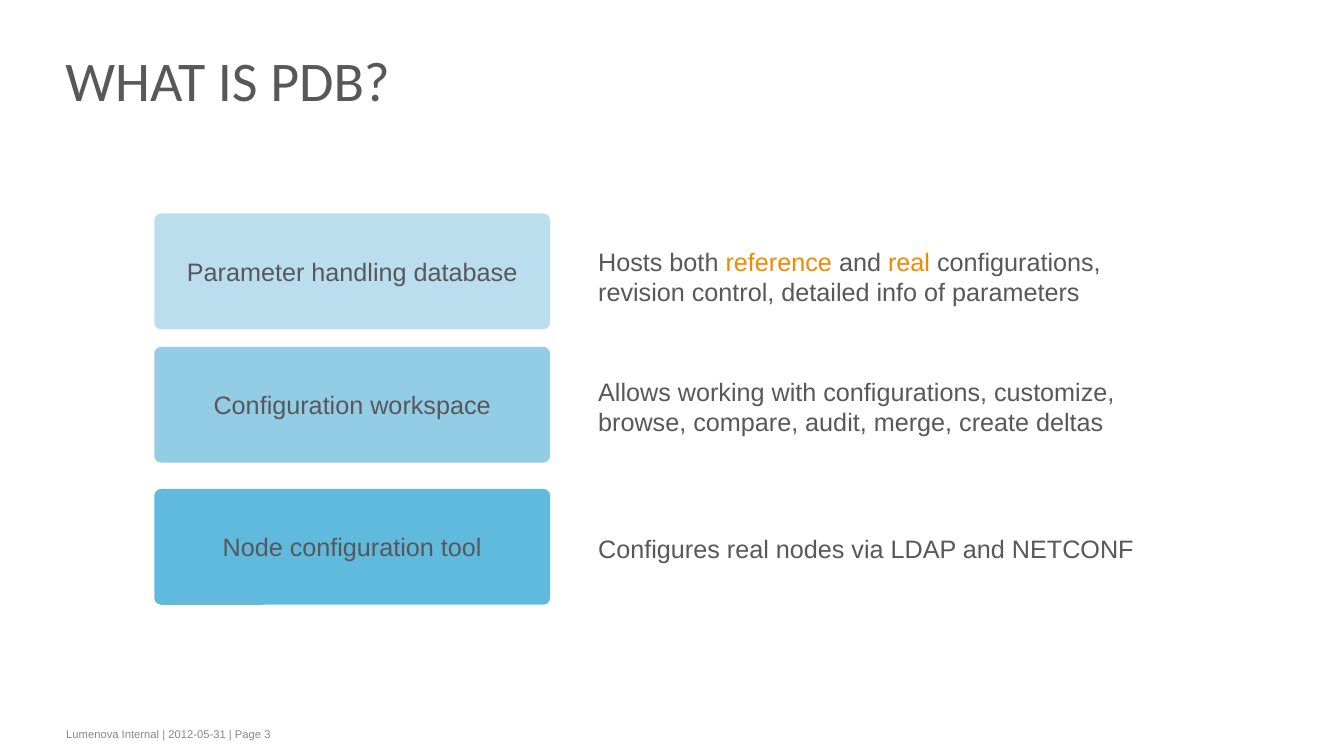
from dataclasses import dataclass

from pptx import Presentation
from pptx.dml.color import RGBColor
from pptx.enum.shapes import MSO_SHAPE
from pptx.enum.text import MSO_ANCHOR, MSO_AUTO_SIZE, PP_ALIGN
from pptx.util import Cm, Pt

TITLE = "WHAT IS PDB?"
FOOTER = "Lumenova Internal | 2012-05-31 | Page 3"
LAYERS = [
    {
        "name": "Parameter handling database",
        "fill": "BADEEE",
        "top": 5.38,
        "note": [
            ("Hosts both ", "text"),
            ("reference", "accent"),
            (" and ", "text"),
            ("real", "accent"),
            (" configurations, revision control, detailed info of parameters", "text"),
        ],
        "note_box": (6.07, 15.49, 1.78),
        "wrap": True,
    },
    {
        "name": "Configuration workspace",
        "fill": "92CCE5",
        "top": 8.74,
        "note": [
            ("Allows working with configurations, customize, browse, compare, "
             "audit, merge, create deltas", "text"),
        ],
        "note_box": (9.35, 15.49, 1.78),
        "wrap": True,
    },
    {
        "name": "Node configuration tool",
        "fill": "5FBADD",
        "top": 12.32,
        "note": [("Configures real nodes via LDAP and NETCONF", "text")],
        "note_box": (13.31, 14.02, 1.02),
        "wrap": False,
    },
]


@dataclass(frozen=True)
class Theme:
    text: str = "58585A"
    accent: str = "F08A00"
    muted: str = "87888A"
    title_font: str = "Calibri"
    body_font: str = "Arial"
    title_size: int = 40
    body_size: int = 18
    footer_size: int = 8


THEME = Theme()
LAYER_LEFT, LAYER_WIDTH, LAYER_HEIGHT = 3.89, 9.98, 2.92
NOTE_LEFT = 14.83


def add_span(para, text, color=THEME.text, size=THEME.body_size, font=THEME.body_font):
    span = para.add_run()
    span.text = text
    span.font.name = font
    span.font.size = Pt(size)
    span.font.color.rgb = RGBColor.from_string(color)


def set_margins(frame, side, edge):
    frame.margin_left = frame.margin_right = Cm(side)
    frame.margin_top = frame.margin_bottom = Cm(edge)


def add_title(page):
    title = page.shapes.title
    title.left, title.top, title.width, title.height = Cm(1.45), Cm(0.66), Cm(27.76), Cm(3.02)
    frame = title.text_frame
    frame.auto_size = MSO_AUTO_SIZE.NONE
    frame.vertical_anchor = MSO_ANCHOR.MIDDLE
    set_margins(frame, 0.2, 0)
    para = frame.paragraphs[0]
    para.alignment = PP_ALIGN.LEFT
    para.line_spacing = 0.75
    add_span(para, TITLE, size=THEME.title_size, font=THEME.title_font)


def add_footer(page):
    box = page.shapes.add_textbox(Cm(1.47), Cm(18.2), Cm(27.41), Cm(0.61))
    frame = box.text_frame
    frame.word_wrap = True
    set_margins(frame, 0.2, 0.13)
    add_span(frame.paragraphs[0], FOOTER, THEME.muted, THEME.footer_size)


def add_layer(page, layer):
    box = page.shapes.add_shape(
        MSO_SHAPE.ROUNDED_RECTANGLE,
        Cm(LAYER_LEFT), Cm(layer["top"]), Cm(LAYER_WIDTH), Cm(LAYER_HEIGHT),
    )
    box.adjustments[0] = 0.06
    box.shadow.inherit = False
    box.fill.solid()
    box.fill.fore_color.rgb = RGBColor.from_string(layer["fill"])
    box.line.fill.background()
    frame = box.text_frame
    frame.word_wrap = False
    frame.vertical_anchor = MSO_ANCHOR.MIDDLE
    set_margins(frame, 0, 0.13)
    para = frame.paragraphs[0]
    para.alignment = PP_ALIGN.CENTER
    add_span(para, layer["name"])


def add_note(page, layer):
    top, width, height = layer["note_box"]
    box = page.shapes.add_textbox(Cm(NOTE_LEFT), Cm(top), Cm(width), Cm(height))
    frame = box.text_frame
    frame.word_wrap = layer["wrap"]
    frame.auto_size = MSO_AUTO_SIZE.SHAPE_TO_FIT_TEXT
    set_margins(frame, 0.25, 0.13)
    for text, role in layer["note"]:
        add_span(frame.paragraphs[0], text, getattr(THEME, role))


def main():
    deck = Presentation()
    deck.slide_width, deck.slide_height = Cm(33.88), Cm(19.05)
    page = deck.slides.add_slide(deck.slide_layouts[5])
    add_footer(page)
    add_title(page)
    for layer in LAYERS:
        add_layer(page, layer)
    for layer in LAYERS:
        add_note(page, layer)
    deck.save("out.pptx")


if __name__ == "__main__":
    main()
